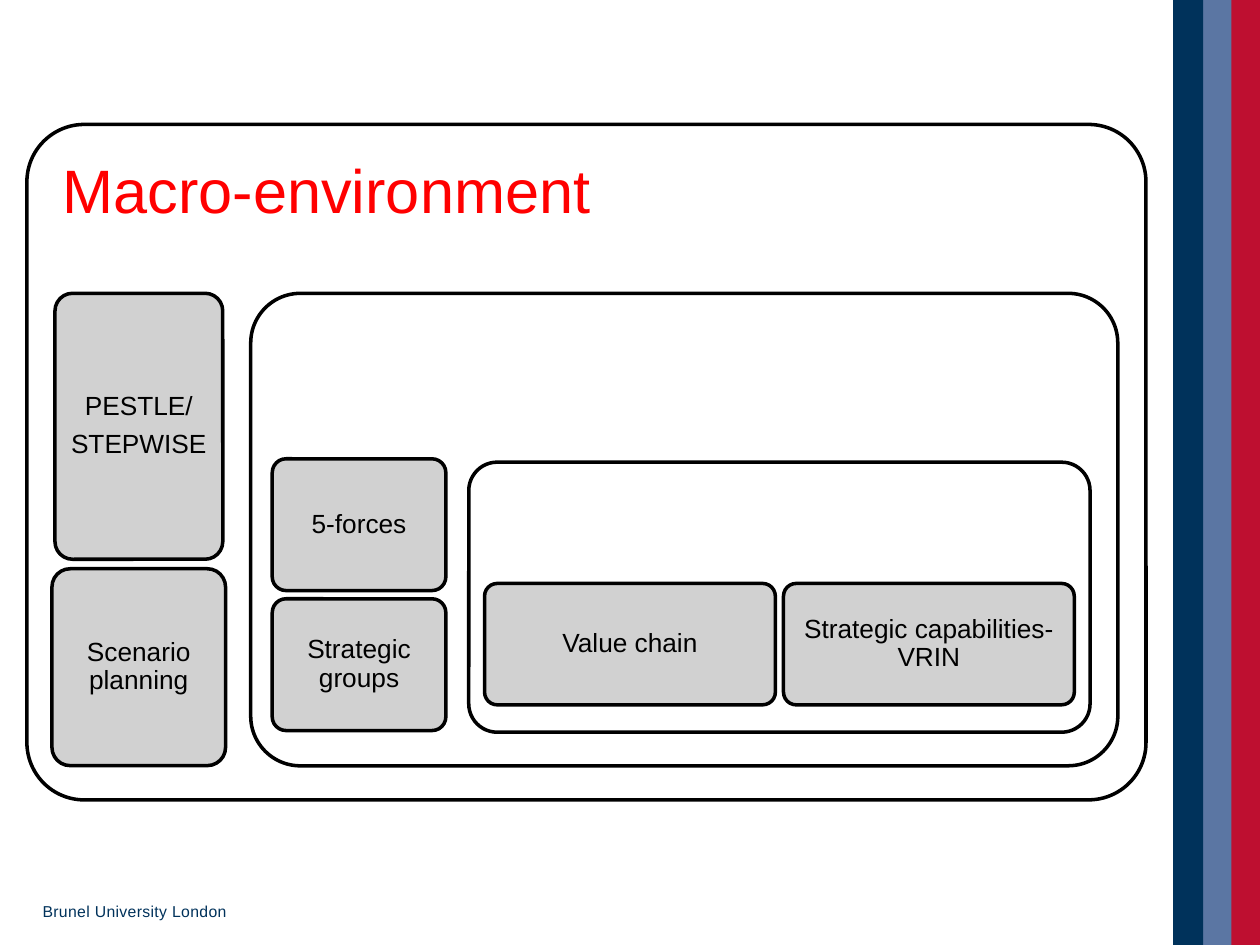
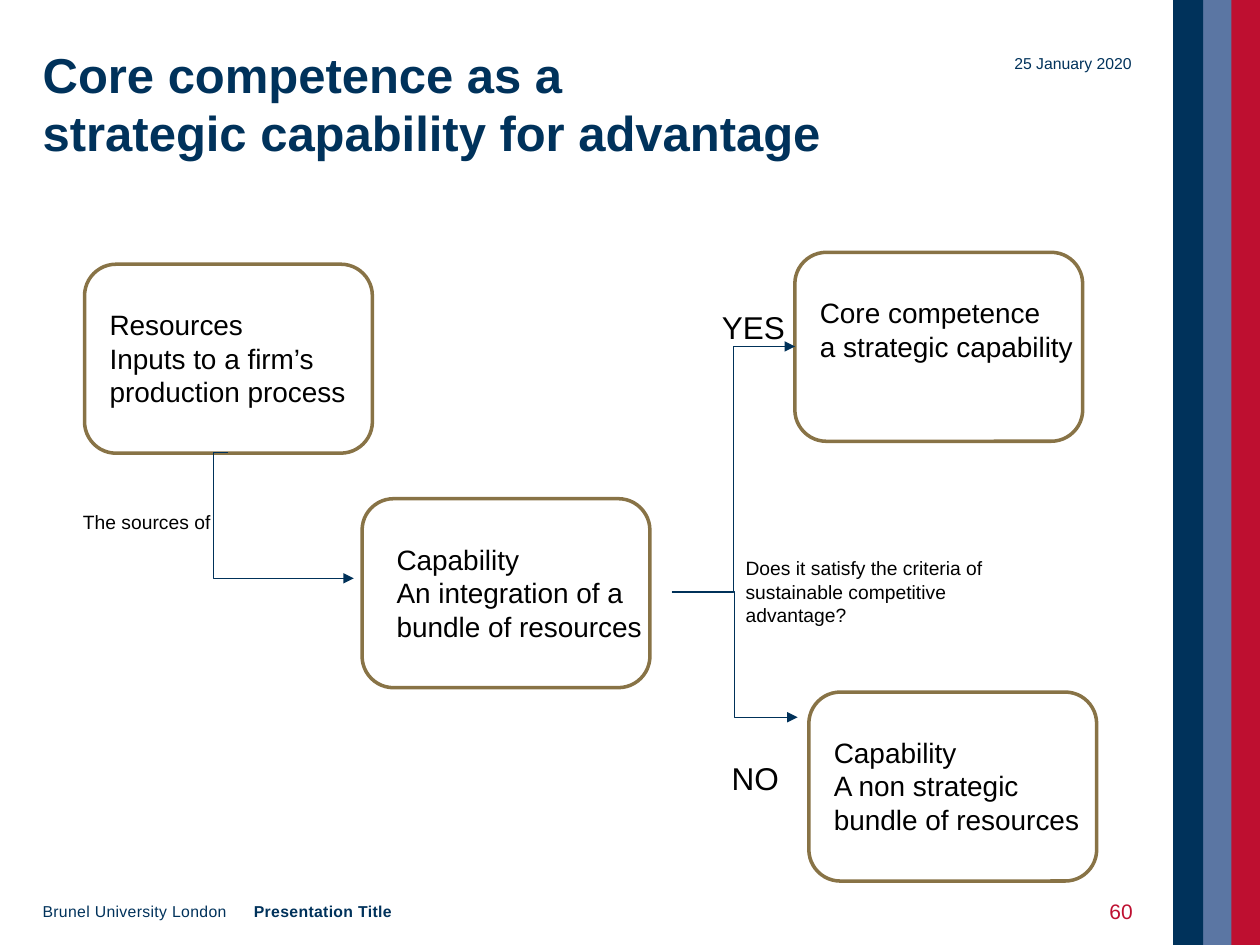
"""Builds two strategy slides: the layers of the environment and core competence."""
import pptx
import pptx.util
import pptx.dml.color
import pptx.enum.shapes
import pptx.enum.text
import pptx.oxml.ns
import lxml.etree

Pt = pptx.util.Pt
RGBColor = pptx.dml.color.RGBColor
Shape = pptx.enum.shapes.MSO_SHAPE
Align = pptx.enum.text.PP_ALIGN
Anchor = pptx.enum.text.MSO_ANCHOR
qn = pptx.oxml.ns.qn

NAVY = RGBColor(0x00, 0x32, 0x5B)
STEEL = RGBColor(0x5B, 0x76, 0xA3)
RED = RGBColor(0xBE, 0x0F, 0x30)
ARROW = RGBColor(0x00, 0x31, 0x59)
GOLD = RGBColor(0x88, 0x73, 0x46)
GREY = RGBColor(0xCC, 0xCC, 0xCC)
BRIGHT = RGBColor(0xFF, 0x00, 0x00)
BLACK = RGBColor(0x00, 0x00, 0x00)
WHITE = RGBColor(0xFF, 0xFF, 0xFF)


def write(frame, text, size, color=BLACK, align=Align.LEFT, anchor=Anchor.TOP,
          bold=False, wrap=True, track=0):
    """Fill a text frame, one paragraph a line, in a single style."""
    frame.text = text
    frame.word_wrap = wrap
    frame.vertical_anchor = anchor
    for par in frame.paragraphs:
        par.alignment = align
        par.font.name = "Arial"
        par.font.size = Pt(size)
        par.font.bold = bold
        par.font.color.rgb = color
        if track:
            for run in par.runs:
                run.font._element.set("spc", str(track))


def block(slide, kind, left, top, width, height, fill, edge=None):
    """Add a flat filled shape, outlined where an edge colour is given."""
    shape = slide.shapes.add_shape(kind, Pt(left), Pt(top), Pt(width), Pt(height))
    shape.shadow.inherit = False
    shape.fill.solid()
    shape.fill.fore_color.rgb = fill
    if edge is None:
        shape.line.fill.background()
    else:
        shape.line.color.rgb = edge
        shape.line.width = Pt(2)
    return shape


deck = pptx.Presentation()
deck.slide_width, deck.slide_height = Pt(720), Pt(540)
layers = deck.slides.add_slide(deck.slide_layouts[6])
core = deck.slides.add_slide(deck.slide_layouts[5])

for slide in (layers, core):
    for left, color in ((703.5, RED), (686.5, STEEL), (670.3, NAVY)):
        block(slide, Shape.RECTANGLE, left, 0, min(17.2, 720 - left), 540, color)
    foot = slide.shapes.add_textbox(Pt(17.2), Pt(512), Pt(121), Pt(18))
    write(foot.text_frame, "Brunel University London", 9, NAVY, track=20)

frames = [
    (15.4, 71.1, 639.5, 386, 0.085, "Macro-environment"),
    (143.3, 167.6, 495.5, 270, 0.105, ""),
    (267.9, 264.1, 355, 154.3, 0.105, ""),
]
for left, top, width, height, bend, text in frames:
    shape = block(layers, Shape.ROUNDED_RECTANGLE, left, top, width, height, WHITE, BLACK)
    shape.adjustments[0] = bend
    if text:
        frame = shape.text_frame
        frame.margin_left = frame.margin_top = frame.margin_right = Pt(10.8)
        write(frame, text, 35, BRIGHT)
        frame.paragraphs[0].line_spacing = 0.9

tools = [
    (31.4, 167.6, 95.9, 152, "PESTLE/\nSTEPWISE"),
    (29.7, 325, 99.2, 112.5, "Scenario planning"),
    (155.6, 262.2, 99.2, 75.3, "5-forces"),
    (155.6, 342.2, 99.2, 75.3, "Strategic groups"),
    (276.9, 333.4, 166.2, 69.4, "Value chain"),
    (447.7, 333.4, 166.2, 69.4, "Strategic capabilities-VRIN"),
]
for left, top, width, height, text in tools:
    shape = block(layers, Shape.ROUNDED_RECTANGLE, left, top, width, height, GREY, BLACK)
    shape.adjustments[0] = 0.105
    tint = shape._element.spPr.find(qn("a:solidFill"))[0]
    lxml.etree.SubElement(tint, qn("a:alpha")).set("val", "90000")
    frame = shape.text_frame
    frame.margin_left = frame.margin_right = Pt(4.2)
    frame.margin_top = frame.margin_bottom = Pt(4.2)
    write(frame, text, 15, align=Align.CENTER, anchor=Anchor.MIDDLE)
    for spot, par in enumerate(frame.paragraphs):
        par.line_spacing = 0.9
        if spot:
            par.space_before = Pt(5.5)

title = core.shapes.title
title.left, title.top, title.width, title.height = Pt(17.2), Pt(21.6), Pt(636.5), Pt(90)
write(title.text_frame, "Core competence as a\vstrategic capability for advantage",
      28, NAVY, bold=True)
title.text_frame.auto_size = pptx.enum.text.MSO_AUTO_SIZE.NONE

marks = [
    (551.5, 21.6, 102.2, "25 January 2020", 9, NAVY, Align.RIGHT, False, 0),
    (138, 506.2, 370, "Presentation Title", 9, NAVY, Align.LEFT, True, 20),
    (513.4, 506.2, 141, "60", 12, RED, Align.RIGHT, False, 0),
]
for left, top, width, text, size, color, align, bold, track in marks:
    box = core.shapes.add_textbox(Pt(left), Pt(top), Pt(width), Pt(28.8))
    write(box.text_frame, text, size, color, align, Anchor.MIDDLE, bold, track=track)

steps = [
    (48.3, 151, 7.2, "Resources\nInputs to a firm’s production process"),
    (206.9, 285, 12.6, "Capability\nAn integration of a bundle of resources"),
    (454.2, 144.2, 7.2, "Core competence\na strategic capability"),
    (462.2, 395.5, 7.2, "Capability\nA non strategic bundle of resources"),
]
for left, top, shift, text in steps:
    block(core, Shape.ROUNDED_RECTANGLE, left, top, 164.5, 108, WHITE, GOLD)
    box = core.shapes.add_textbox(Pt(left + shift), Pt(top + 21.2), Pt(164.2), Pt(65.5))
    write(box.text_frame, text, 16)

links = [
    (383.8, 337.9, 455.8, 409.9, 50000),
    (383.8, 338.8, 454.3, 198, 50000),
    (130.2, 258.5, 202.2, 330.5, -11200),
]
for left, top, right, low, bend in links:
    link = core.shapes.add_connector(pptx.enum.shapes.MSO_CONNECTOR.ELBOW,
                                     Pt(left), Pt(top), Pt(right), Pt(low))
    link.line.color.rgb = ARROW
    link.line.width = Pt(0.75)
    props = link._element.spPr
    guides = props.find(qn("a:prstGeom")).find(qn("a:avLst"))
    guide = lxml.etree.SubElement(guides, qn("a:gd"))
    guide.set("name", "adj1")
    guide.set("fmla", f"val {bend}")
    lxml.etree.SubElement(props.find(qn("a:ln")), qn("a:tailEnd")).set("type", "triangle")
    lxml.etree.SubElement(props, qn("a:effectLst"))

notes = [
    (419, 314.6, 189.4, 47.5, "Does it satisfy the criteria of sustainable competitive advantage?",
     11, True),
    (405.4, 172.4, 51, 28.8, "YES", 18, False),
    (411, 430, 42, 28.8, "NO", 18, False),
    (40.3, 288, 189.4, 21, "The sources of", 11, True),
]
for left, top, width, height, text, size, wrap in notes:
    box = core.shapes.add_textbox(Pt(left), Pt(top), Pt(width), Pt(height))
    write(box.text_frame, text, size, wrap=wrap)

deck.save("out.pptx")
